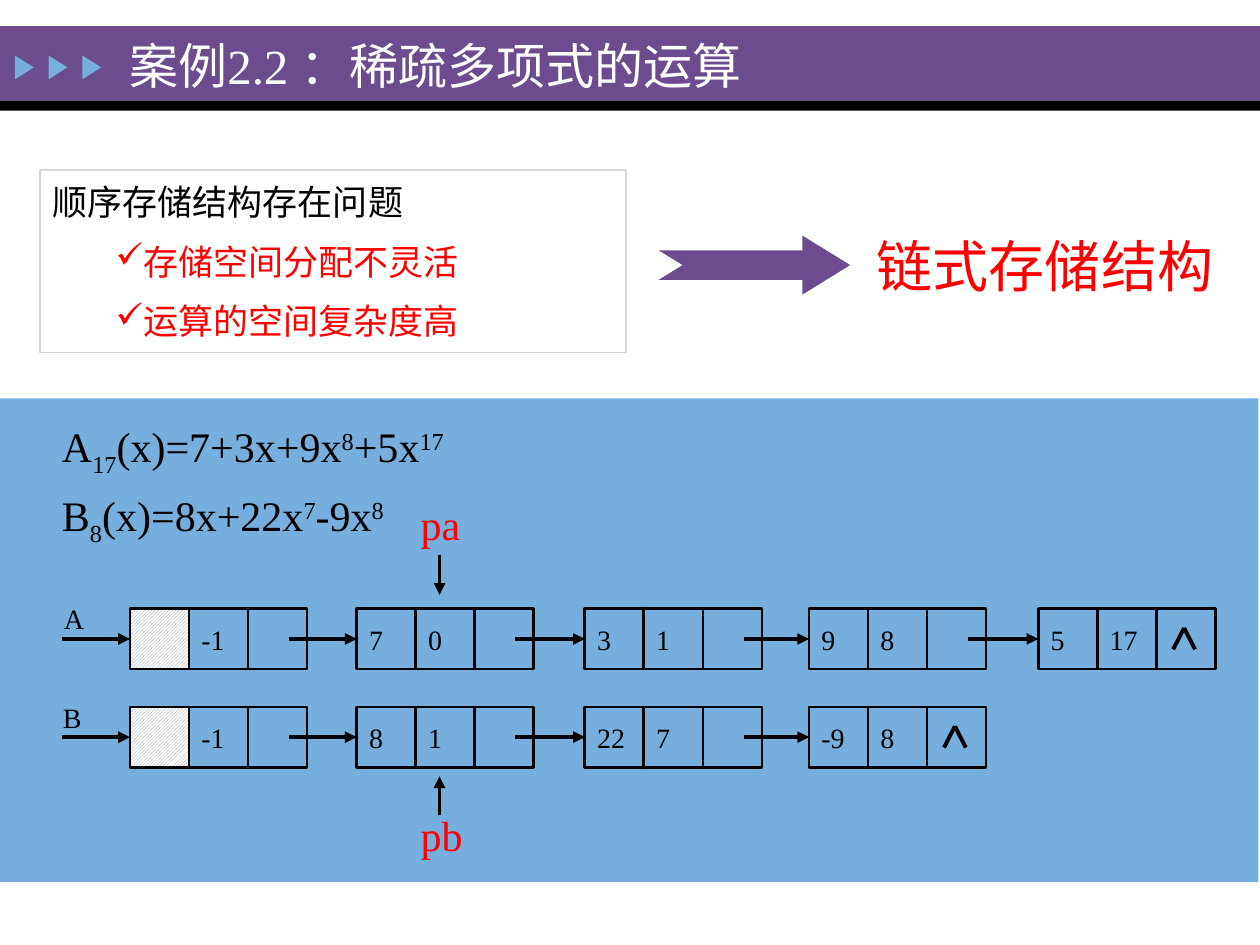
"""Build the sparse polynomial slide with its two linked lists."""
from lxml import etree
from pptx import Presentation
from pptx import util as u
from pptx.dml.color import RGBColor
from pptx.enum import dml, shapes, text
from pptx.oxml.ns import qn

BLACK = RGBColor(0x00, 0x00, 0x00)
WHITE = RGBColor(0xFE, 0xFF, 0xFF)
GREY = RGBColor(0x96, 0x96, 0x96)
SILVER = RGBColor(0xD5, 0xD5, 0xD5)
RED = RGBColor(0xFF, 0x00, 0x00)
BLUE = RGBColor(0x76, 0xAE, 0xDD)
PURPLE = RGBColor(0x6C, 0x4C, 0x8F)
FORM = shapes.MSO_SHAPE
SIDE = text.PP_ALIGN

deck = Presentation()
deck.slide_width, deck.slide_height = u.Cm(25.4), u.Cm(19.05)
slide = deck.slides.add_slide(deck.slide_layouts[6])
slide.background.fill.solid()
slide.background.fill.fore_color.rgb = WHITE


def block(form, place, fill=None, edge=None, width=1.5):
    item = slide.shapes.add_shape(form, *map(u.Cm, place))
    item.shadow.inherit = False
    if fill is None:
        item.fill.background()
    else:
        item.fill.solid()
        item.fill.fore_color.rgb = fill
    if edge is None:
        item.line.fill.background()
    else:
        item.line.color.rgb = edge
        item.line.width = u.Pt(width)
    return item


def dress(item, size, tint, wrap=True, align=SIDE.LEFT):
    frame = item.text_frame
    frame.word_wrap = wrap
    frame.vertical_anchor = text.MSO_ANCHOR.MIDDLE
    for para in frame.paragraphs:
        para.alignment = align
        for run in para.runs:
            run.font.name = "Times New Roman"
            run.font.size = u.Pt(size)
            run.font.color.rgb = tint


block(FORM.RECTANGLE, (0, 0.53, 25.4, 1.5), PURPLE)
block(FORM.RECTANGLE, (0, 2.03, 25.4, 0.2), BLACK)
for step in range(3):
    mark = block(FORM.ISOSCELES_TRIANGLE, (0.25 + 0.68 * step, 1.17, 0.48, 0.38), BLUE)
    mark.rotation = 90
block(FORM.RECTANGLE, (-0.03, 8.03, 25.4, 9.75), BLUE)

sums = [
    (8.41, 11.25, [("A", 0), ("17", -25), ("(x)=7+3x+9x", 0), ("8", 30),
                   ("+5x", 0), ("17", 30)]),
    (9.8, 7.62, [("B", 0), ("8", -25), ("(x)=8x+22x", 0), ("7", 30),
                 ("-9x", 0), ("8", 30)]),
]
for top, wide, parts in sums:
    sum_box = slide.shapes.add_textbox(u.Cm(1), u.Cm(top), u.Cm(wide), u.Cm(1.3))
    for words, shift in parts:
        run = sum_box.text_frame.paragraphs[0].add_run()
        run.text = words
        if shift:
            run.font._element.set("baseline", str(shift * 1000))
    dress(sum_box, 24, BLACK)

lefts = [2.62, 7.19, 11.79, 16.31, 20.93]
chains = [
    (12.27, [("", "-1"), ("7", "0"), ("3", "1"), ("9", "8"), ("5", "17")]),
    (14.25, [("", "-1"), ("8", "1"), ("22", "7"), ("-9", "8")]),
]
lines = [((8.86, 11.18), (8.86, 11.99), True), ((8.86, 16.43), (8.86, 15.65), True)]
for top, nodes in chains:
    mid = top + 0.61
    lines.append(((1.24, mid), (lefts[0], mid), True))
    for left, pair in zip(lefts, nodes):
        for col, words in enumerate([*pair, ""]):
            cell = block(FORM.RECTANGLE, (left + 1.19 * col, top, 1.19, 1.22), edge=BLACK)
            if words:
                cell.text_frame.text = words
                dress(cell, 16, BLACK)
            elif col == 0:
                cell.fill.patterned()
                cell.fill.pattern = dml.MSO_PATTERN.DARK_UPWARD_DIAGONAL
                cell.fill.fore_color.rgb = GREY
                cell.fill.back_color.rgb = WHITE
    for left, goal in zip(lefts, lefts[1:len(nodes)]):
        lines.append(((left + 3.2, mid), (goal, mid), True))
    tip = lefts[len(nodes) - 1] + 2.94
    for way in (-1, 1):
        lines.append(((tip, top + 0.39), (tip + 0.22 * way, top + 0.82), False))

for start, end, head in lines:
    link = slide.shapes.add_connector(
        shapes.MSO_CONNECTOR.STRAIGHT, *map(u.Cm, start + end))
    link.line.color.rgb = BLACK
    link.line.width = u.Pt(2.25)
    if head:
        etree.SubElement(link.line._get_or_add_ln(), qn("a:tailEnd"), type="triangle")
    etree.SubElement(link._element.spPr, qn("a:effectLst"))

labels = [
    ("A", (1.04, 11.99, 0.91, 0.94), 16, BLACK, False, SIDE.LEFT),
    ("B", (1.02, 14, 0.89, 0.94), 16, BLACK, False, SIDE.LEFT),
    ("pa", (8.23, 9.91, 1.32, 1.3), 24, RED, False, SIDE.LEFT),
    ("pb", (8.23, 16.18, 1.37, 1.3), 24, RED, False, SIDE.LEFT),
    ("链式存储结构", (17.4, 4.52, 7.34, 1.63), 32, RED, False, SIDE.CENTER),
    ("案例2.2 ：稀疏多项式的运算", (2.36, 0.46, 13.72, 1.7), 28, WHITE, True, SIDE.LEFT),
]
for words, place, size, tint, wrap, align in labels:
    label = slide.shapes.add_textbox(*map(u.Cm, place))
    label.text_frame.text = words
    dress(label, size, tint, wrap, align)

panel = block(FORM.RECTANGLE, (0.81, 3.43, 11.81, 3.68), edge=SILVER, width=0.75)
panel.text_frame.text = "顺序存储结构存在问题\n存储空间分配不灵活\n运算的空间复杂度高"
dress(panel, 20, RED)
first, *points = panel.text_frame.paragraphs
first.runs[0].font.color.rgb = BLACK
for point in points:
    point.level = 1
    point.space_before = u.Pt(10)
    props = point._p.get_or_add_pPr()
    props.set("marL", str(u.Cm(1.27)))
    props.set("indent", "0")
    etree.SubElement(props, qn("a:buChar"), char="✓")

arrow = block(FORM.NOTCHED_RIGHT_ARROW, (13.28, 4.75, 3.86, 1.19), PURPLE)
arrow.adjustments[0] = 0.5
arrow.adjustments[1] = 0.81

deck.save("out.pptx")
